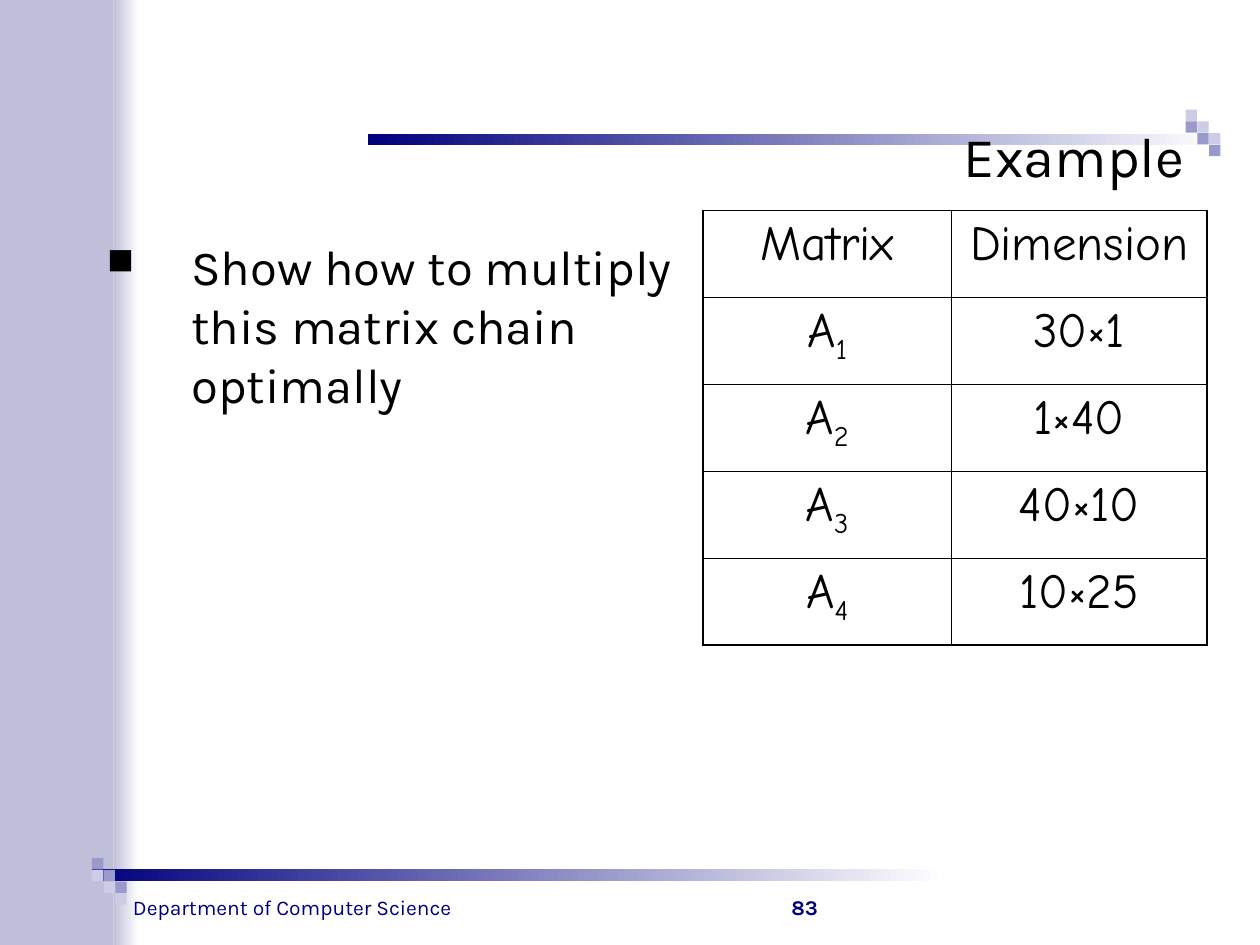
import lxml.etree
import pptx
import pptx.dml.color
import pptx.enum.shapes
import pptx.enum.text
import pptx.oxml.ns
import pptx.util
from dataclasses import dataclass

Inches = pptx.util.Inches
Pt = pptx.util.Pt
ALIGN = pptx.enum.text.PP_ALIGN
ANCHOR = pptx.enum.text.MSO_ANCHOR
qn = pptx.oxml.ns.qn


@dataclass(frozen=True)
class Theme:
    navy: str = "00007D"
    black: str = "000000"
    white: str = "FFFFFF"
    band: str = "BFBFDA"
    dark_square: str = "9999CC"
    light_square: str = "CCCCE6"
    text_font: str = "Karla"
    table_font: str = "Comic Neue"
    title_size: int = 32
    body_size: int = 28
    footer_size: int = 12
    outer_line: float = 1.08
    inner_line: float = 0.45


def rgb(value):
    return pptx.dml.color.RGBColor.from_string(value)


def apply(target, values):
    for name, value in values.items():
        setattr(target, name, value)


def add_xml(parent, tag, **attributes):
    return lxml.etree.SubElement(parent, qn(tag), attributes)


class SlideBuilder:
    def __init__(self, slide, theme):
        self.slide = slide
        self.theme = theme

    def bar(self, left, top, width, height, color, fade_to=None):
        bar = self.slide.shapes.add_shape(
            pptx.enum.shapes.MSO_SHAPE.RECTANGLE,
            Inches(left), Inches(top), Inches(width), Inches(height))
        bar.shadow.inherit = False
        bar.line.fill.background()
        if fade_to:
            bar.fill.gradient()
            bar.fill.gradient_angle = 0
            for stop, shade in zip(bar.fill.gradient_stops, (color, fade_to)):
                stop.color.rgb = rgb(shade)
        else:
            bar.fill.solid()
            bar.fill.fore_color.rgb = rgb(color)

    def staircase(self, left, top, colors, side=0.09, step=0.093):
        """Three columns of two squares, each column one step lower."""
        for column in range(3):
            for row, color in enumerate(colors):
                self.bar(left + column * step, top + (column + row) * step,
                         side, side, color)

    def styled_run(self, paragraph, text, font, size, color, bold=False):
        run = paragraph.add_run()
        run.text = text
        apply(run.font, {"name": font, "size": Pt(size), "bold": bold})
        run.font.color.rgb = rgb(color)
        return run

    def text(self, text, box, size, color, align, anchor=ANCHOR.TOP,
             before=0, wrap=True, bold=False):
        frame = self.slide.shapes.add_textbox(*map(Inches, box)).text_frame
        apply(frame, {"word_wrap": wrap, "vertical_anchor": anchor})
        paragraph = frame.paragraphs[0]
        apply(paragraph, {"alignment": align, "space_before": Pt(before)})
        self.styled_run(paragraph, text, self.theme.text_font, size, color, bold)
        return paragraph

    def bullet(self, paragraph, indent):
        properties = paragraph._p.get_or_add_pPr()
        properties.set("marL", str(Inches(indent)))
        properties.set("indent", str(-Inches(indent)))
        color = add_xml(properties, "a:buClr")
        add_xml(color, "a:srgbClr", val=self.theme.black)
        add_xml(properties, "a:buSzPct", val="75000")
        add_xml(properties, "a:buChar", char="■")

    def borders(self, cell, outer_edges):
        properties = cell._tc.get_or_add_tcPr()
        for position, edge in enumerate("LRTB"):
            on_rim = edge in outer_edges
            width = self.theme.outer_line if on_rim else self.theme.inner_line
            line = add_xml(properties, "a:ln" + edge, w=str(Pt(width)))
            fill = add_xml(line, "a:solidFill")
            add_xml(fill, "a:srgbClr", val=self.theme.black)
            properties.insert(position, line)

    def table(self, rows, left, top, widths, row_height):
        last_row, last_column = len(rows) - 1, len(widths) - 1
        table = self.slide.shapes.add_table(
            len(rows), len(widths), Inches(left), Inches(top),
            Inches(sum(widths)), Inches(row_height * len(rows))).table
        apply(table, {"first_row": False, "horz_banding": False})
        for column, width in zip(table.columns, widths):
            column.width = Inches(width)
        for r, row in enumerate(rows):
            table.rows[r].height = Inches(row_height)
            for c, (text, subscript) in enumerate(row):
                cell = table.cell(r, c)
                cell.fill.background()
                paragraph = cell.text_frame.paragraphs[0]
                apply(paragraph, {"alignment": ALIGN.CENTER,
                                  "space_before": Pt(7)})
                style = (self.theme.table_font, self.theme.body_size,
                         self.theme.black)
                self.styled_run(paragraph, text, *style)
                if subscript:
                    index = self.styled_run(paragraph, subscript, *style)
                    index.font._element.set("baseline", "-25000")
                rim = {"L": c == 0, "R": c == last_column,
                       "T": r == 0, "B": r == last_row}
                self.borders(cell, [edge for edge in rim if rim[edge]])


def main():
    theme = Theme()
    deck = pptx.Presentation()
    apply(deck, {"slide_width": Inches(10), "slide_height": Inches(7.5)})
    page = SlideBuilder(deck.slides.add_slide(deck.slide_layouts[6]), theme)

    # Side band with soft edge
    page.bar(0.9, 0, 0.2, 7.5, theme.band, theme.white)
    page.bar(0, 0, 0.9, 7.5, theme.band)

    # Fading rules with their staircases
    squares = (theme.dark_square, theme.light_square)
    page.bar(0.73, 6.9, 6.76, 0.09, theme.navy, theme.white)
    page.staircase(0.73, 6.81, squares)
    page.bar(2.92, 1.06, 6.76, 0.09, theme.navy, theme.white)
    page.staircase(9.41, 0.87, squares[::-1])

    # Footer and page number
    page.text("Department of Computer Science", (0.91, 7.05, 2.82, 0.3),
              theme.footer_size, theme.navy, ALIGN.CENTER, before=3, wrap=False)
    page.text("83", (3.42, 6.83, 3.17, 0.52), theme.footer_size, theme.navy,
              ALIGN.RIGHT, ANCHOR.BOTTOM, bold=True)

    # Title and task
    page.text("Example", (0.5, 0.3, 9, 1.25), theme.title_size, theme.black,
              ALIGN.RIGHT, ANCHOR.BOTTOM)
    task = page.text("Show how to multiply this matrix chain optimally",
                     (0.75, 1.83, 4.88, 4.83), theme.body_size, theme.black,
                     ALIGN.LEFT, before=7)
    page.bullet(task, 0.67)

    # Matrix dimensions
    dimensions = ("30×1", "1×40", "40×10", "10×25")
    rows = [(("Matrix", ""), ("Dimension", ""))]
    rows += [(("A", str(number)), (dimension, ""))
             for number, dimension in enumerate(dimensions, 1)]
    page.table(rows, 5.58, 1.67, (1.97, 2.03), 0.69)

    deck.save("out.pptx")


if __name__ == "__main__":
    main()
